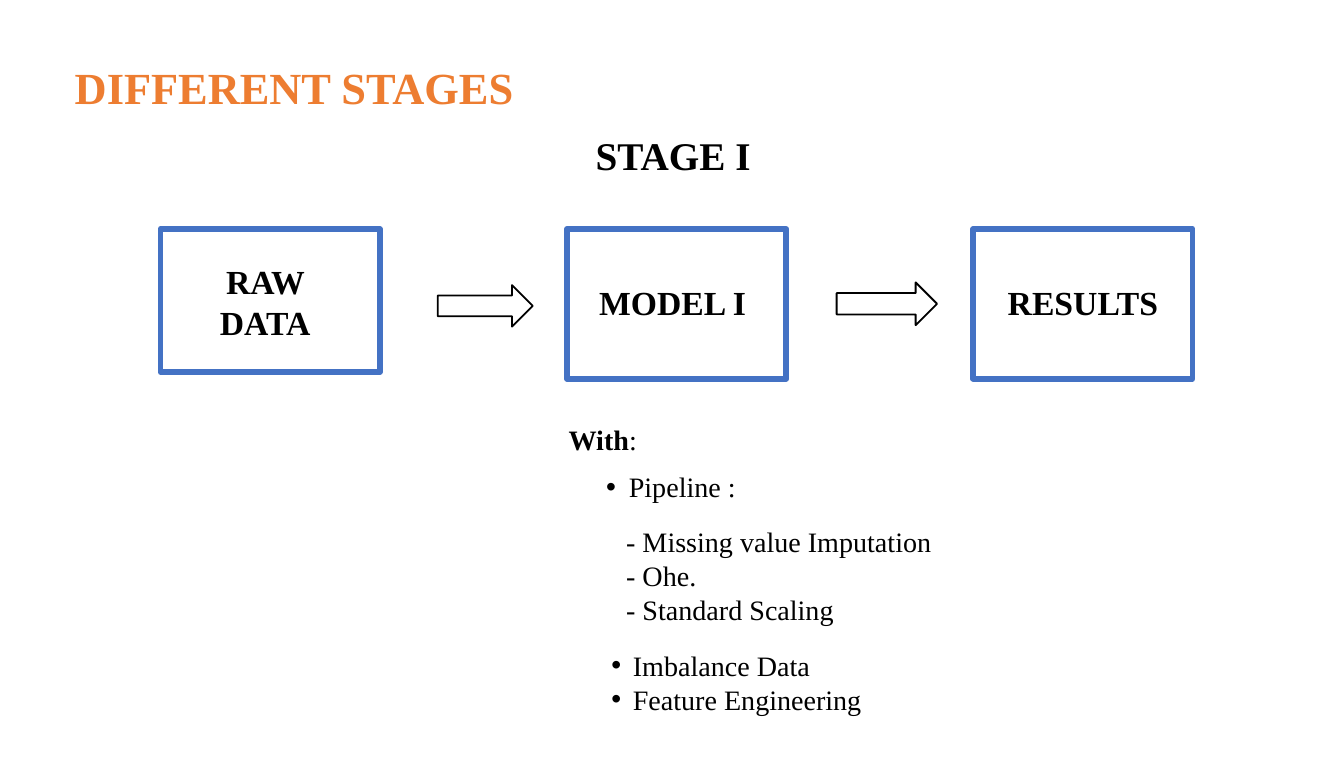
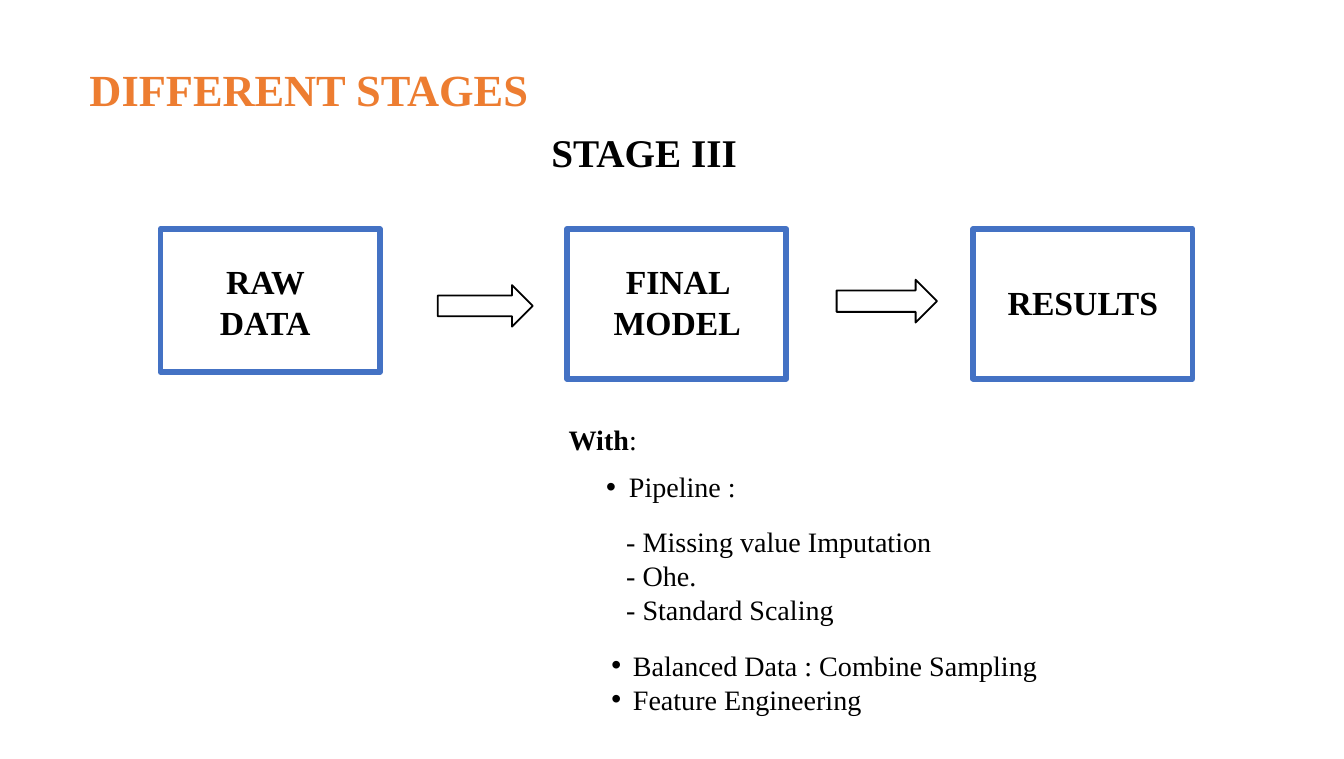
"""Build two slides showing the stages of a model from raw data to results."""
from lxml.etree import SubElement
from pptx import Presentation
from pptx.dml.color import RGBColor
from pptx.enum.shapes import MSO_SHAPE as SHAPE
from pptx.enum.text import PP_ALIGN as ALIGN
from pptx.oxml.ns import qn
from pptx.util import Inches, Pt

COLORS = {"title": "ED7D31", "box": "4472C4", "ink": "000000", "paper": "FFFFFF"}
FONT = "Times New Roman"

prs = Presentation()
prs.slide_width, prs.slide_height = Inches(10.04), Inches(5.67)
COL, ROW = prs.slide_width / 100, prs.slide_height / 100

BOX_X, BOX_Y, BOX_W, BOX_STEP = 11.95, 30.16, 16.33, 30.23
BOX_HEIGHTS = [18.87, 19.75, 19.75]
ONE_LINE, TWO_LINES = (36.33, 7.23), (33.51, 12.52)

STAGES = [
    {
        "title": (4.58, 6.53),
        "stage": ("STAGE I", 43.33, 16.4, 18.23),
        "model": ("MODEL I", 42.73, 14.64, ONE_LINE),
        "arrow_y": 37.21,
        "data": "Imbalance Data",
        "list_w": 26.29,
    },
    {
        "title": (5.68, 6.88),
        "stage": ("STAGE III", 40.04, 16.05, 19.82),
        "model": ("FINAL MODEL", 42.23, 16.33, TWO_LINES),
        "arrow_y": 36.86,
        "data": "Balanced Data : Combine Sampling",
        "list_w": 35.86,
    },
]


def add_text(s, lines, x, y, w, h, size, bold=True, color="ink", align=ALIGN.LEFT):
    """Add a wrapped text box on the 100 by 100 grid and return its paragraphs."""
    sp = s.shapes.add_textbox(int(x * COL), int(y * ROW), int(w * COL), int(h * ROW))
    tf = sp.text_frame
    tf.word_wrap = True
    tf.text = "\n".join(lines)
    for p in tf.paragraphs:
        p.alignment = align
        for r in p.runs:
            r.font.name, r.font.size, r.font.bold = FONT, Pt(size), bold
            r.font.color.rgb = RGBColor.from_string(COLORS[color])
    return tf.paragraphs


def add_block(s, kind, x, y, w, h, line, width):
    """Add a white preset shape with a coloured outline on the grid."""
    sp = s.shapes.add_shape(kind, int(x * COL), int(y * ROW), int(w * COL), int(h * ROW))
    sp.shadow.inherit = False
    sp.fill.solid()
    sp.fill.fore_color.rgb = RGBColor.from_string(COLORS["paper"])
    sp.line.color.rgb = RGBColor.from_string(COLORS[line])
    sp.line.width = Pt(width)


for stage in STAGES:
    s = prs.slides.add_slide(prs.slide_layouts[6])

    p = add_text(s, ["DIFFERENT STAGES"], *stage["title"], 89.44, 8.82, 23.9, color="title")[0]
    p.line_spacing, p.space_after = 1.07, Pt(3)
    name, x, y, w = stage["stage"]
    add_text(s, [name], x, y, w, 8.11, 21.1)

    labels = [
        ("RAW DATA", 13.55, 12.35, TWO_LINES),
        stage["model"],
        ("RESULTS", 73.31, 14.54, ONE_LINE),
    ]
    for i, (label, x, w, (y, h)) in enumerate(labels):
        add_block(s, SHAPE.RECTANGLE, BOX_X + i * BOX_STEP, BOX_Y, BOX_W, BOX_HEIGHTS[i], "box", 3)
        add_text(s, [label], x, y, w, h, 18.1, align=ALIGN.CENTER)

    for x, y, w, h in [(32.57, 37.57, 7.07, 5.47), (62.25, stage["arrow_y"], 7.47, 5.64)]:
        add_block(s, SHAPE.RIGHT_ARROW, x, y, w, h, "ink", 1)

    p = add_text(s, ["With"], 41.33, 54.85, 15.44, 6.17, 15.1)[0]
    r = p.add_run()
    r.text = ":"
    r.font.name, r.font.size, r.font.bold = FONT, Pt(15.1), False
    r.font.color.rgb = RGBColor.from_string(COLORS["ink"])

    items = [
        ("Pipeline :", 0.17, 0.17, 0),
        ("- Missing value Imputation", 0.15, 0, 11.5),
        ("- Ohe.", 0.15, 0, 0),
        ("- Standard Scaling", 0.15, 0, 0),
        (stage["data"], 0.2, 0.16, 12),
        ("Feature Engineering", 0.2, 0.16, 0),
    ]
    lines = [item[0] for item in items]
    paragraphs = add_text(s, lines, 44.12, 61.02, stage["list_w"], 34.74, 15.1, bold=False)
    for p, (_, margin, hang, gap) in zip(paragraphs, items):
        p.space_before = Pt(gap)
        pPr = p._p.get_or_add_pPr()
        pPr.set("marL", str(Inches(margin)))
        pPr.set("indent", str(-Inches(hang)))
        if hang:
            SubElement(pPr, qn("a:buFont"), typeface="Arial")
            SubElement(pPr, qn("a:buChar"), char="•")

prs.save("out.pptx")
